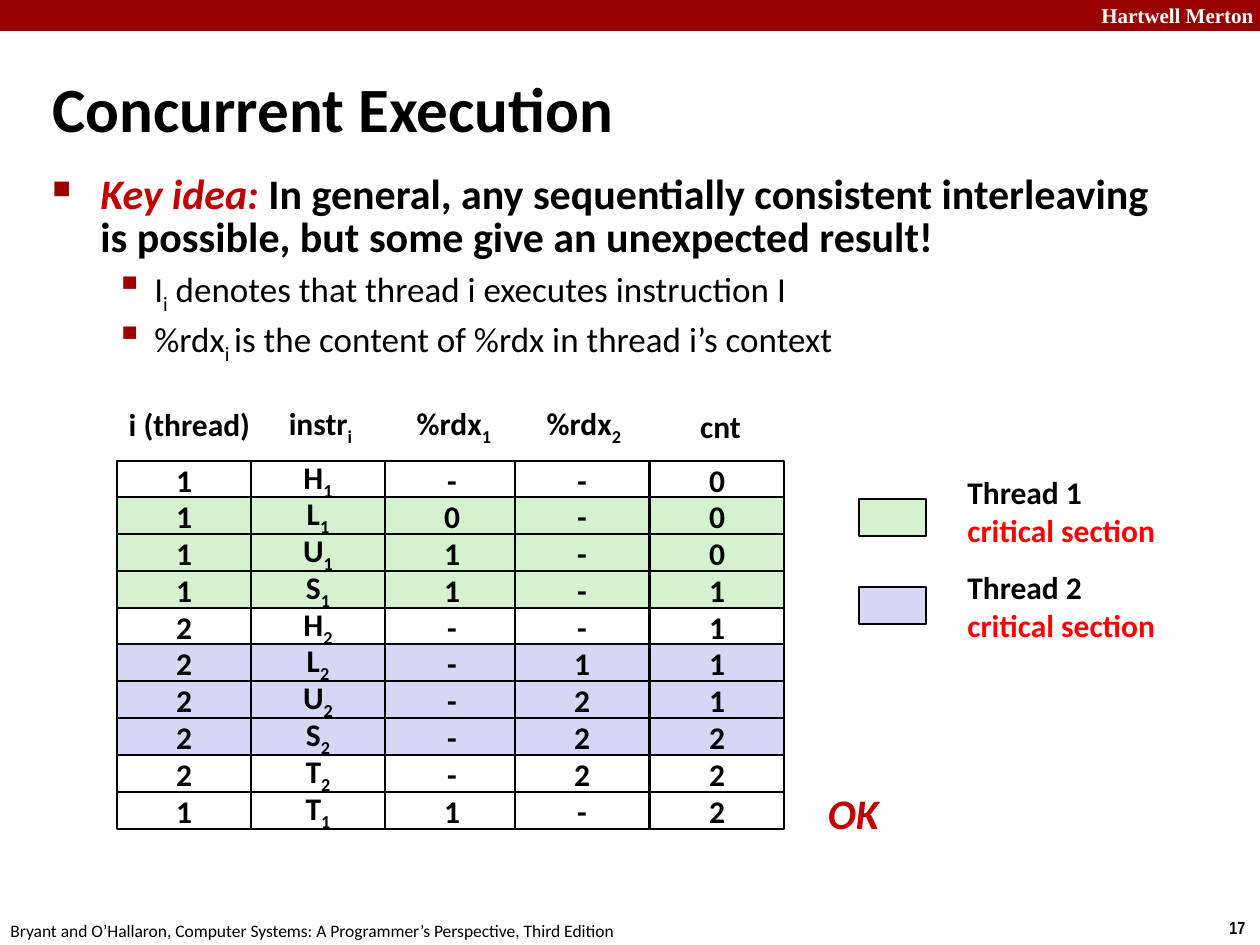
from lxml import etree
from pptx import Presentation, util as u
from pptx.dml.color import RGBColor
from pptx.enum import shapes, text
from pptx.oxml.ns import qn

PX = 914400 // 126
COLORS = {"black": "000000", "white": "FFFFFF", "banner": "990000", "accent": "C00000",
          "red": "FF0000", "thread1": "D5F1CF", "thread2": "D6D6F5"}

BANNER = "Hartwell Merton"
FOOTER = "Bryant and O’Hallaron, Computer Systems: A Programmer’s Perspective, Third Edition"
PAGE = "17"
TITLE = "Concurrent Execution"
SUB = {"sub": True}
KEY_IDEA = [
    ("Key idea: ", {"color": "accent", "italic": True}),
    ("In general, any sequentially consistent interleaving is possible, "
     "but some give an unexpected result!", {}),
]
NOTATION = [
    [("I", {}), ("i", SUB), (" denotes that thread i executes instruction I", {})],
    [("%rdx", {}), ("i ", SUB), ("is the content of %rdx in thread i’s context", {})],
]
HEADERS = [
    ("i (thread)", "", (116, 399, 147)),
    ("instr", "i", (276, 401, 89)),
    ("%rdx", "1", (403, 401, 102)),
    ("%rdx", "2", (533, 401, 102)),
    ("cnt", "", (687, 401, 67)),
]
COLUMN_LEFTS = [117, 251, 385, 515, 650]
DRAW_ORDER = [1, 0, 2, 4, 3]
STEPS = [
    ("1", "H1", "-", "-", "0"),
    ("1", "L1", "0", "-", "0"),
    ("1", "U1", "1", "-", "0"),
    ("1", "S1", "1", "-", "1"),
    ("2", "H2", "-", "-", "1"),
    ("2", "L2", "-", "1", "1"),
    ("2", "U2", "-", "2", "1"),
    ("2", "S2", "-", "2", "2"),
    ("2", "T2", "-", "2", "2"),
    ("1", "T1", "1", "-", "2"),
]
CRITICAL = "LUS"
LEGEND = [("Thread 1 ", "thread1", 499, 467), ("Thread 2 ", "thread2", 587, 562)]
CELL_W, CELL_H = 134, 37
GRID_TOP, GRID_SPAN = 461, 331

LEFT, CENTER = text.PP_ALIGN.LEFT, text.PP_ALIGN.CENTER


def rgb(name):
    return RGBColor.from_string(COLORS[name])


def px(*lengths):
    return [length * PX for length in lengths]


def write(paragraph, runs, size, bold=True, font="Calibri", align=LEFT):
    paragraph.alignment = align
    for words, style in runs:
        run = paragraph.add_run()
        run.text = words
        run.font.name = font
        run.font.size = u.Pt(size)
        run.font.bold = bold
        run.font.italic = style.get("italic", False)
        run.font.color.rgb = rgb(style.get("color", "black"))
        if style.get("sub"):
            run.font._element.set("baseline", "-25000")


def add_label(slide, box, runs, size, wrap=False, grow=True, middle=False, **style):
    label = slide.shapes.add_textbox(*px(*box))
    frame = label.text_frame
    frame.word_wrap = wrap
    frame.auto_size = text.MSO_AUTO_SIZE.SHAPE_TO_FIT_TEXT if grow else text.MSO_AUTO_SIZE.NONE
    frame.vertical_anchor = text.MSO_ANCHOR.MIDDLE if middle else text.MSO_ANCHOR.TOP
    write(frame.paragraphs[0], runs, size, **style)
    return frame


def add_box(slide, box, fill, outlined=True):
    rect = slide.shapes.add_shape(shapes.MSO_SHAPE.RECTANGLE, *px(*box))
    rect.shadow.inherit = False
    rect.fill.solid()
    rect.fill.fore_color.rgb = rgb(fill)
    if outlined:
        rect.line.color.rgb = rgb("black")
        rect.line.width = u.Pt(1)
    else:
        rect.line.fill.background()
    return rect


def indent(paragraph, left, hanging):
    props = paragraph._p.get_or_add_pPr()
    props.set("marL", str(left * PX))
    props.set("indent", str(-hanging * PX))
    return props


def add_bullet(paragraph, symbol, percent, left, hanging, line_spacing, before):
    paragraph.line_spacing = line_spacing
    paragraph.space_before = u.Pt(before)
    props = indent(paragraph, left, hanging)
    color = etree.SubElement(props, qn("a:buClr"))
    etree.SubElement(color, qn("a:srgbClr"), val=COLORS["banner"])
    etree.SubElement(props, qn("a:buSzPct"), val=str(percent * 1000))
    etree.SubElement(props, qn("a:buChar"), char=symbol)


def add_frame(slide):
    add_box(slide, (0, 0, 1260, 31), "banner", outlined=False)
    add_label(slide, (1089, -4, 180, 38), [(BANNER, {"color": "white"})], 12,
              wrap=True, font="Times New Roman")
    add_label(slide, (1217, 911, 43, 34), [(PAGE, {})], 10, font="Arial Narrow")
    add_label(slide, (-2, 914, 640, 34), [(FOOTER, {})], 10, bold=False)


def add_body(slide):
    title = add_label(slide, (40, 68, 912, 79), [(TITLE, {})], 36,
                      wrap=True, grow=False, middle=True)
    indent(title.paragraphs[0], 16, 16)
    body = add_label(slide, (40, 169, 1145, 200), KEY_IDEA, 24, wrap=True, grow=False)
    add_bullet(body.paragraphs[0], "■", 60, 48, 48, 0.85, 5)
    for runs in NOTATION:
        point = body.add_paragraph()
        point.level = 1
        write(point, runs, 20, bold=False)
        add_bullet(point, "▪", 110, 102, 39, 0.9, 4)


def add_trace(slide):
    for column in DRAW_ORDER:
        for row, step in enumerate(STEPS):
            top = GRID_TOP + row * GRID_SPAN // (len(STEPS) - 1)
            fill = "thread" + step[0] if step[1][0] in CRITICAL else "white"
            cell = add_box(slide, (COLUMN_LEFTS[column], top, CELL_W, CELL_H), fill)
            cell.text_frame.vertical_anchor = text.MSO_ANCHOR.MIDDLE
            value = step[column]
            runs = [(value[:1], {})] + [(digit, SUB) for digit in value[1:]]
            write(cell.text_frame.paragraphs[0], runs, 18, align=CENTER)
    for name, index, (left, top, width) in HEADERS:
        runs = [(name, {})] + [(letter, SUB) for letter in index]
        add_label(slide, (left, top, width, 50), runs, 18, middle=True, align=CENTER)
    add_label(slide, (815, 781, 77, 63), [("OK", {"color": "accent", "italic": True})], 24,
              middle=True, align=CENTER)


def add_legend(slide):
    for name, fill, swatch_top, label_top in LEGEND:
        add_box(slide, (859, swatch_top, 67, CELL_H), fill)
        add_label(slide, (955, label_top, 220, 89),
                  [(name, {}), ("critical section", {"color": "red"})], 18, wrap=True)


def main():
    deck = Presentation()
    deck.slide_width, deck.slide_height = px(1260, 945)
    slide = deck.slides.add_slide(deck.slide_layouts[6])
    add_frame(slide)
    add_body(slide)
    add_trace(slide)
    add_legend(slide)
    deck.save("out.pptx")


if __name__ == "__main__":
    main()
